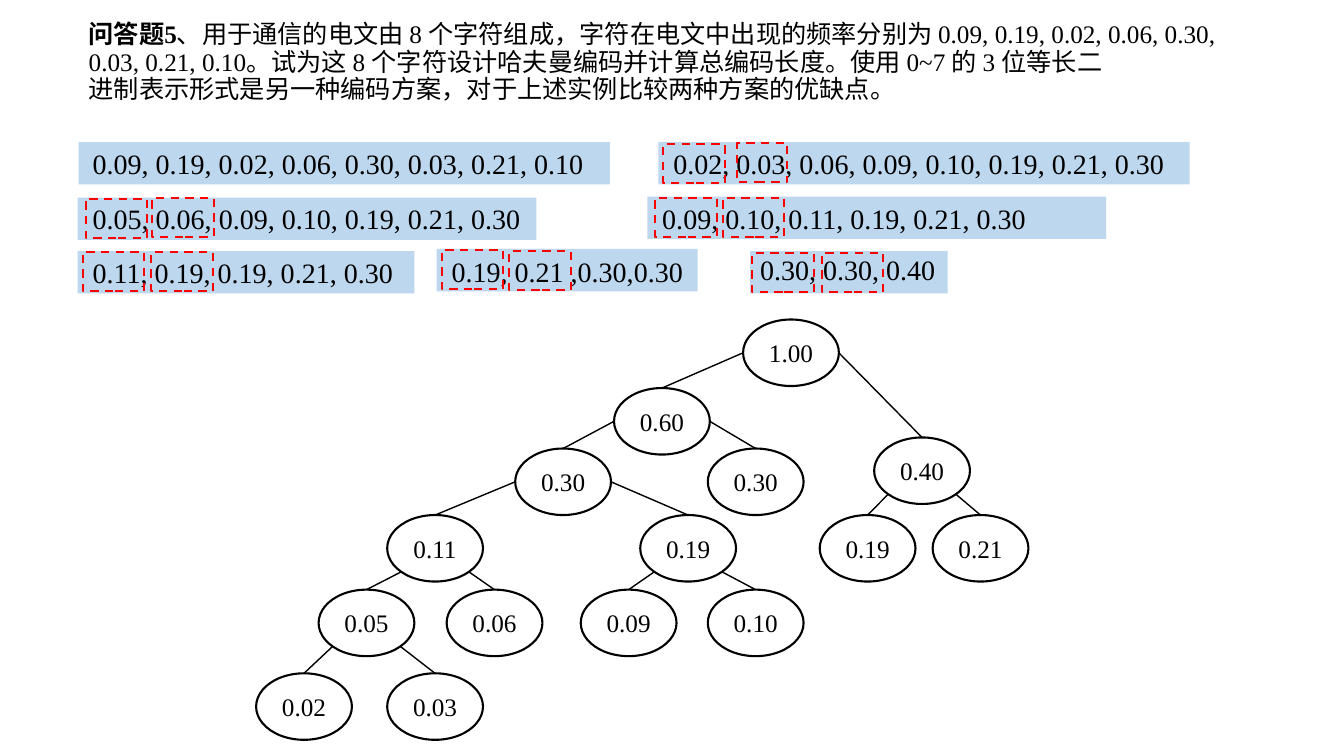
from dataclasses import dataclass
from math import cos, radians, sin

from lxml.etree import SubElement
from pptx import Presentation
from pptx.dml.color import RGBColor
from pptx.enum.dml import MSO_LINE_DASH_STYLE as Dash
from pptx.enum.shapes import MSO_CONNECTOR as Connector, MSO_SHAPE as Shape
from pptx.enum.text import MSO_ANCHOR as Anchor, MSO_AUTO_SIZE as AutoSize, PP_ALIGN as Align
from pptx.oxml.ns import qn
from pptx.util import Inches, Pt


@dataclass(frozen=True)
class Theme:
    font: str = "Times New Roman"
    ink: RGBColor = RGBColor(0, 0, 0)
    paper: RGBColor = RGBColor(255, 255, 255)
    band: RGBColor = RGBColor(0xBD, 0xD7, 0xEE)
    mark: RGBColor = RGBColor(255, 0, 0)
    body_size: int = 18
    list_size: int = 20
    outline: float = 1.5
    branch: float = 1


THEME = Theme()
NODE_WIDTH, NODE_HEIGHT = 0.95, 0.66
BAND_HEIGHT, TEXT_HEIGHT, MARK_HEIGHT = 0.42, 0.44, 0.39
SIDE, DIAGONAL = 0, 45

LEAD = "问答题5"
QUESTION = (
    "、用于通信的电文由 8 个字符组成，字符在电文中出现的频率分别为 0.09, 0.19, 0.02, 0.06, 0.30, ",
    "0.03, 0.21, 0.10。试为这 8 个字符设计哈夫曼编码并计算总编码长度。使用 0~7 的 3 位等长二",
    "进制表示形式是另一种编码方案，对于上述实例比较两种方案的优缺点。",
)

# Each step: wording, band (left, top, width), text (left, top, width), marks (left, top, width).
STEPS = (
    ("0.09, 0.19, 0.02, 0.06, 0.30, 0.03, 0.21, 0.10", (0.78, 1.41, 5.27), (0.82, 1.4, 5.13), ()),
    ("0.02, 0.03, 0.06, 0.09, 0.10, 0.19, 0.21, 0.30", (6.53, 1.41, 5.27), (6.58, 1.4, 5.13),
     ((6.58, 1.43, 0.61), (7.31, 1.42, 0.5))),
    ("0.05, 0.06, 0.09, 0.10, 0.19, 0.21, 0.30", (0.77, 1.96, 4.55), (0.82, 1.95, 4.48),
     ((0.85, 1.97, 0.61), (1.51, 1.96, 0.61))),
    ("0.09, 0.10, 0.11, 0.19, 0.21, 0.30", (6.42, 1.95, 4.55), (6.47, 1.95, 3.9),
     ((6.5, 1.96, 0.61), (7.17, 1.96, 0.61))),
    ("0.11, 0.19, 0.19, 0.21, 0.30", (0.77, 2.49, 3.34), (0.82, 2.49, 3.9),
     ((0.82, 2.5, 0.61), (1.5, 2.5, 0.61))),
    ("0.19, 0.21 ,0.30,0.30", (4.33, 2.47, 2.59), (4.38, 2.48, 2.75),
     ((4.38, 2.48, 0.61), (5.05, 2.49, 0.61))),
    ("0.30, 0.30, 0.40", (7.44, 2.49, 1.96), (7.44, 2.46, 2.14),
     ((7.46, 2.51, 0.61), (8.15, 2.51, 0.61))),
)


@dataclass(frozen=True)
class Node:
    weight: str
    left: float
    top: float
    exit_angle: int = SIDE
    children: tuple = ()


TREE = Node("1.00", 7.37, 3.17, SIDE, (
    Node("0.60", 6.09, 3.85, SIDE, (
        Node("0.30", 5.11, 4.45, SIDE, (
            Node("0.11", 3.84, 5.11, DIAGONAL, (
                Node("0.05", 3.16, 5.85, DIAGONAL, (
                    Node("0.02", 2.54, 6.68),
                    Node("0.03", 3.84, 6.68))),
                Node("0.06", 4.43, 5.85))),
            Node("0.19", 6.35, 5.11, DIAGONAL, (
                Node("0.09", 5.76, 5.85),
                Node("0.10", 7.02, 5.85))))),
        Node("0.30", 7.02, 4.45))),
    Node("0.40", 8.67, 4.34, DIAGONAL, (
        Node("0.19", 8.13, 5.11),
        Node("0.21", 9.25, 5.11)))))


def style_font(font, size, bold=False):
    font.name = THEME.font
    font.size = Pt(size)
    font.bold = bold
    font.color.rgb = THEME.ink


def add_title(page):
    title = page.shapes.title
    title.left, title.top = Inches(0.78), Inches(0.09)
    title.width, title.height = Inches(11.87), Inches(1.07)
    frame = title.text_frame
    frame.auto_size = AutoSize.NONE
    frame.word_wrap = True
    frame.vertical_anchor = Anchor.MIDDLE
    para = frame.paragraphs[0]
    para.alignment = Align.LEFT
    para.line_spacing = 0.9
    para.add_run().text = LEAD
    for index, line in enumerate(QUESTION):
        if index:
            para.add_line_break()
        para.add_run().text = line
    for index, span in enumerate(para.runs):
        style_font(span.font, THEME.body_size, bold=index == 0)


def add_outline(page, preset, left, top, width, height, fill=None, line=None):
    shape = page.shapes.add_shape(preset, Inches(left), Inches(top), Inches(width), Inches(height))
    shape.shadow.inherit = False
    if fill is None:
        shape.fill.background()
    else:
        shape.fill.solid()
        shape.fill.fore_color.rgb = fill
    if line is None:
        shape.line.fill.background()
    else:
        shape.line.color.rgb = line
        shape.line.width = Pt(THEME.outline)
    return shape


def add_step(page, wording, band, text, marks):
    add_outline(page, Shape.RECTANGLE, *band, BAND_HEIGHT, fill=THEME.band)
    left, top, width = text
    box = page.shapes.add_textbox(Inches(left), Inches(top), Inches(width), Inches(TEXT_HEIGHT))
    frame = box.text_frame
    frame.word_wrap = True
    frame.auto_size = AutoSize.SHAPE_TO_FIT_TEXT
    frame.text = wording
    style_font(frame.paragraphs[0].runs[0].font, THEME.list_size)
    for mark in marks:
        frame_mark = add_outline(page, Shape.RECTANGLE, *mark, MARK_HEIGHT, line=THEME.mark)
        frame_mark.line.dash_style = Dash.DASH


def add_node(page, node):
    oval = add_outline(page, Shape.OVAL, node.left, node.top, NODE_WIDTH, NODE_HEIGHT,
                       THEME.paper, THEME.ink)
    frame = oval.text_frame
    frame.vertical_anchor = Anchor.MIDDLE
    frame.text = node.weight
    para = frame.paragraphs[0]
    para.alignment = Align.CENTER
    style_font(para.runs[0].font, THEME.body_size)


def add_branch(page, parent, child, side):
    angle = radians(parent.exit_angle)
    start_x = parent.left + NODE_WIDTH / 2 * (1 + side * cos(angle))
    start_y = parent.top + NODE_HEIGHT / 2 * (1 + sin(angle))
    branch = page.shapes.add_connector(
        Connector.STRAIGHT, Inches(start_x), Inches(start_y),
        Inches(child.left + NODE_WIDTH / 2), Inches(child.top))
    branch.line.color.rgb = THEME.ink
    branch.line.width = Pt(THEME.branch)
    SubElement(branch._element.spPr, qn("a:effectLst"))


def add_tree(page, node):
    add_node(page, node)
    for side, child in zip((-1, 1), node.children):
        add_branch(page, node, child, side)
        add_tree(page, child)


def main():
    deck = Presentation()
    deck.slide_width, deck.slide_height = Inches(13.33), Inches(7.5)
    page = deck.slides.add_slide(deck.slide_layouts[5])
    add_title(page)
    for step in STEPS:
        add_step(page, *step)
    add_tree(page, TREE)
    deck.save("out.pptx")


if __name__ == "__main__":
    main()
